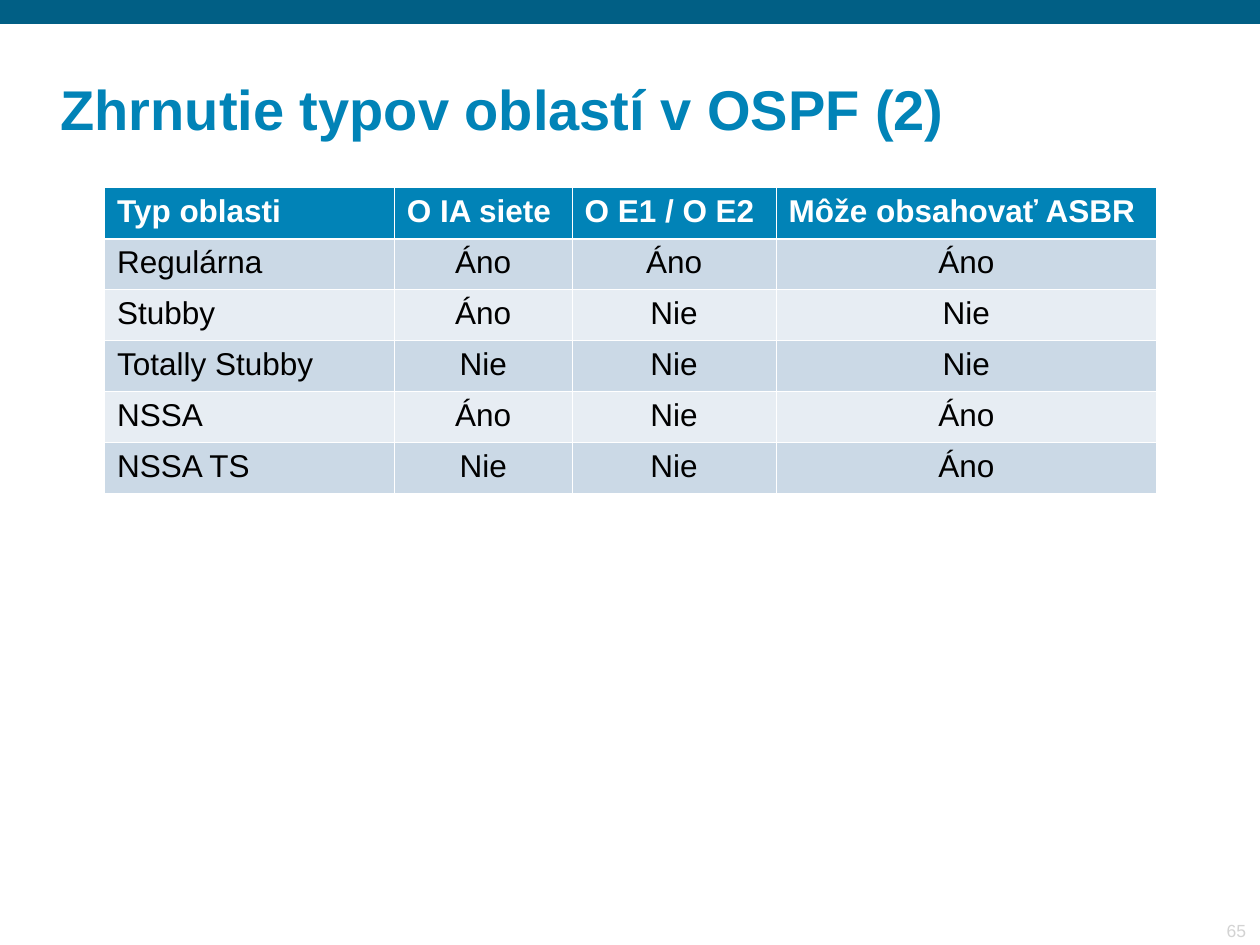
from lxml import etree
from pptx import Presentation
from pptx import util as u
from pptx.dml.color import RGBColor
from pptx.enum import shapes, text
from pptx.oxml import ns

WHITE = RGBColor(0xFF, 0xFF, 0xFF)
BLACK = RGBColor(0x00, 0x00, 0x00)
GREY = RGBColor(0xD3, 0xD3, 0xD3)
NAVY = RGBColor(0x01, 0x5F, 0x85)
BLUE = RGBColor(0x01, 0x83, 0xB7)
BAND_DARK = RGBColor(0xCB, 0xD9, 0xE6)
BAND_LIGHT = RGBColor(0xE7, 0xED, 0xF3)

LEFT, CENTER, RIGHT = text.PP_ALIGN.LEFT, text.PP_ALIGN.CENTER, text.PP_ALIGN.RIGHT
THIN, THICK = u.Pt(0.45), u.Pt(1.47)

COLUMN_WIDTHS = (2.3, 1.41, 1.62, 3.02)
AREA_TYPES = (
    ("Typ oblasti", "O IA siete", "O E1 / O E2", "Môže obsahovať ASBR"),
    ("Regulárna", "Áno", "Áno", "Áno"),
    ("Stubby", "Áno", "Nie", "Nie"),
    ("Totally Stubby", "Nie", "Nie", "Nie"),
    ("NSSA", "Áno", "Nie", "Áno"),
    ("NSSA TS", "Nie", "Nie", "Áno"),
)


def apply(target, values):
    for name, value in values.items():
        setattr(target, name, value)


class SlideBuilder:
    """Hold the text style and the current slide, and add its elements."""

    font_name = "Arial"
    frame_format = {
        "word_wrap": True,
        "auto_size": text.MSO_AUTO_SIZE.NONE,
        "margin_left": u.Inches(0.09),
        "margin_right": u.Inches(0.09),
        "margin_top": u.Inches(0.04),
        "margin_bottom": u.Inches(0.04),
    }
    cell_margins = {
        "margin_left": u.Inches(0.1),
        "margin_right": u.Inches(0.1),
        "margin_top": u.Inches(0.05),
        "margin_bottom": u.Inches(0.05),
    }

    def __init__(self, page):
        self.page = page

    def label(self, frame, words, size, color, bold=False, align=LEFT):
        para = frame.paragraphs[0]
        para.alignment = align
        span = para.add_run()
        span.text = words
        apply(span.font, {"name": self.font_name, "size": u.Pt(size), "bold": bold})
        span.font.color.rgb = color
        return para

    def bar(self, left, top, width, height, color):
        box = self.page.shapes.add_shape(
            shapes.MSO_SHAPE.RECTANGLE, *map(u.Inches, (left, top, width, height))
        )
        box.shadow.inherit = False
        box.fill.solid()
        box.fill.fore_color.rgb = color
        box.line.fill.background()

    def title(self, words, left, top, width, height):
        box = self.page.shapes.title
        apply(box, {
            "left": u.Inches(left),
            "top": u.Inches(top),
            "width": u.Inches(width),
            "height": u.Inches(height),
        })
        apply(box.text_frame, self.frame_format)
        box.text_frame.vertical_anchor = text.MSO_ANCHOR.MIDDLE
        para = self.label(box.text_frame, words, 32, BLUE, bold=True)
        para.line_spacing = 0.9

    def page_number(self, words, left, top, width, height):
        box = self.page.shapes.add_textbox(*map(u.Inches, (left, top, width, height)))
        apply(box.text_frame, self.frame_format)
        box.text_frame.vertical_anchor = text.MSO_ANCHOR.BOTTOM
        self.label(box.text_frame, words, 10, GREY, align=RIGHT)

    def borders(self, cell, top, bottom):
        properties = cell._tc.get_or_add_tcPr()
        for side, width in (("L", THIN), ("R", THIN), ("T", top), ("B", bottom)):
            line = etree.SubElement(properties, ns.qn(f"a:ln{side}"), w=str(int(width)))
            fill = etree.SubElement(line, ns.qn("a:solidFill"))
            etree.SubElement(fill, ns.qn("a:srgbClr"), val=str(WHITE))

    def table(self, rows, widths, left, top, height):
        grid = self.page.shapes.add_table(
            len(rows), len(widths), *map(u.Inches, (left, top, sum(widths), height))
        ).table
        for column, width in zip(grid.columns, widths):
            column.width = u.Inches(width)
        for r, row in enumerate(rows):
            header = r == 0
            band = BLUE if header else BAND_DARK if r % 2 else BAND_LIGHT
            for c, words in enumerate(row):
                cell = grid.cell(r, c)
                apply(cell, self.cell_margins)
                self.borders(cell, THICK if r == 1 else THIN, THICK if header else THIN)
                cell.fill.solid()
                cell.fill.fore_color.rgb = band
                self.label(
                    cell.text_frame, words, 18, WHITE if header else BLACK,
                    bold=header, align=LEFT if header or c == 0 else CENTER,
                )


def main():
    deck = Presentation()
    apply(deck, {"slide_width": u.Inches(10), "slide_height": u.Inches(7.5)})
    builder = SlideBuilder(deck.slides.add_slide(deck.slide_layouts[5]))
    builder.bar(0, 0, 10, 0.19, NAVY)
    builder.page_number("65", 9.17, 7.25, 0.81, 0.26)
    builder.title("Zhrnutie typov oblastí v OSPF (2)", 0.39, 0.5, 9.21, 0.79)
    builder.table(AREA_TYPES, COLUMN_WIDTHS, 0.83, 1.49, 2.43)
    deck.save("out.pptx")


if __name__ == "__main__":
    main()
